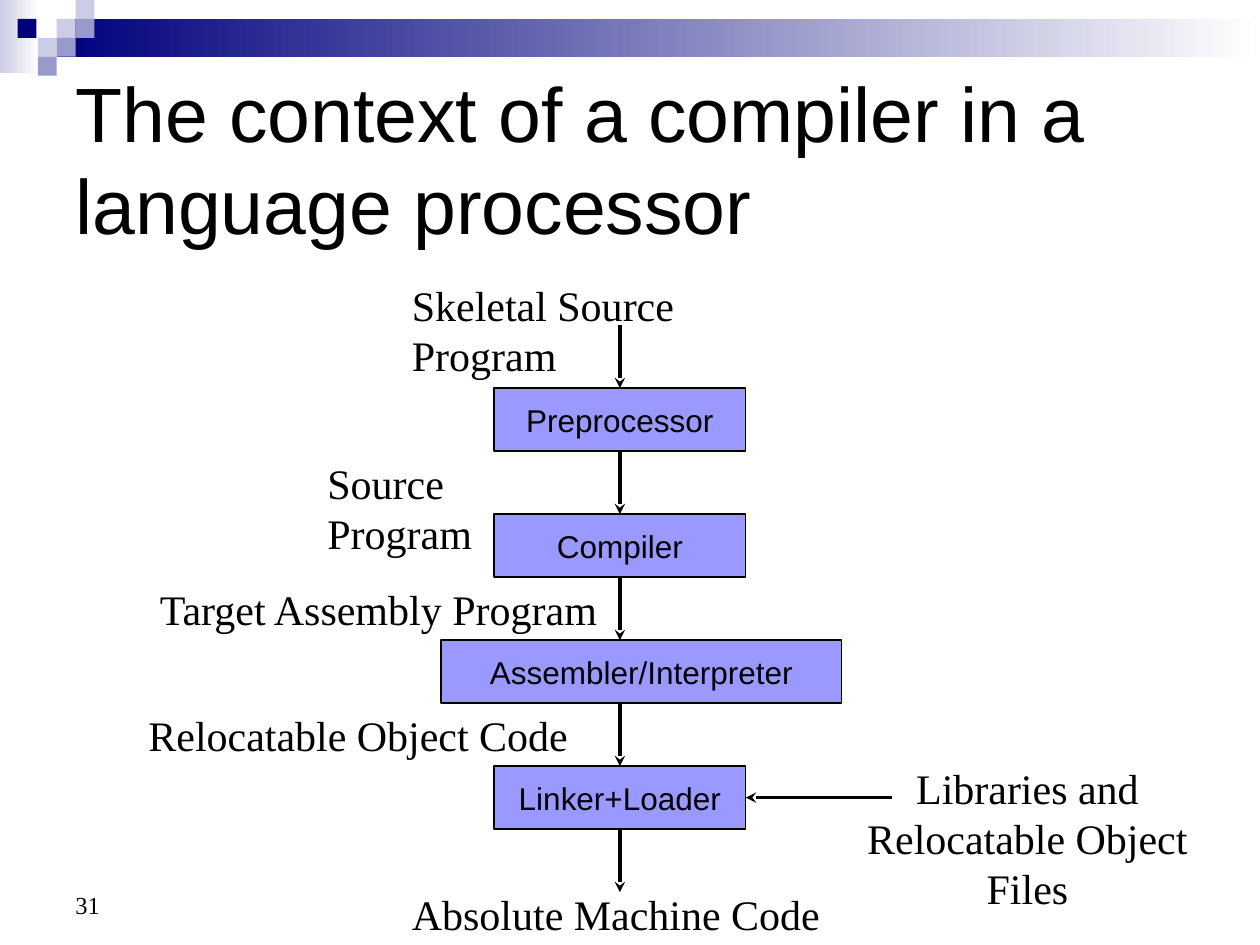
"""Build the slide on the context of a compiler in a language processor."""
from lxml import etree
from pptx import Presentation
from pptx.dml.color import RGBColor
from pptx.enum.shapes import MSO_CONNECTOR, MSO_SHAPE
from pptx.enum.text import MSO_ANCHOR, MSO_AUTO_SIZE, PP_ALIGN
from pptx.oxml.ns import qn
from pptx.util import Inches, Pt

RECTANGLE, STRAIGHT = MSO_SHAPE.RECTANGLE, MSO_CONNECTOR.STRAIGHT
TOP, MIDDLE, BOTTOM = MSO_ANCHOR.TOP, MSO_ANCHOR.MIDDLE, MSO_ANCHOR.BOTTOM
LEFT, CENTER = PP_ALIGN.LEFT, PP_ALIGN.CENTER
NO_RESIZE, GROW = MSO_AUTO_SIZE.NONE, MSO_AUTO_SIZE.SHAPE_TO_FIT_TEXT
SANS, SERIF = "Arial", "Times New Roman"
BLACK, WHITE, NAVY, PALE, MID, STAGE = (
    "000000", "FFFFFF", "00007D", "CCCCE6", "9999CC", "9999FF")

WIDTH, HEIGHT = 10, 7.5
AXIS, FIRST_TOP, STEP, STAGE_HEIGHT = 4.92, 3.08, 1, 0.5
TILE = 0.15

TITLE = "The context of a compiler in a language processor"
PAGE_NUMBER = "31"
GRADIENTS = [((0, 0, 0.31, 0.58), PALE), ((0.45, TILE, 9.55, 2 * TILE), NAVY)]
TILES = [(3, 1, PALE), (4, 0, PALE), (4, 1, MID), (2, 2, PALE),
         (0.93, 1, NAVY), (3, 2, MID), (2, 3, MID)]
STAGES = [("Preprocessor", 3.92, 2), ("Compiler", 3.92, 2),
          ("Assembler/Interpreter", 3.5, 3.18), ("Linker+Loader", 3.92, 2)]
LABELS = [
    ("Skeletal Source Program", (3.17, 2.17, 3.51, 0.5), LEFT),
    ("Source Program", (2.5, 3.58, 2.35, 0.5), LEFT),
    ("Target Assembly Program", (1.17, 4.58, 3.72, 0.5), LEFT),
    ("Relocatable Object Code", (1.08, 5.58, 3.53, 0.5), LEFT),
    ("Absolute Machine Code", (3.17, 7, 3.44, 0.5), LEFT),
    ("Libraries and\nRelocatable Object Files", (6.42, 6, 3.47, 0.9), CENTER),
]


def color(value):
    return RGBColor.from_string(value)


def write(box, text, size, font, align=LEFT, anchor=TOP, wrap=False, resize=NO_RESIZE):
    frame = box.text_frame
    frame.text = text
    frame.auto_size = resize
    frame.word_wrap = wrap
    frame.vertical_anchor = anchor
    for para in frame.paragraphs:
        para.alignment = align
        for span in para.runs:
            span.font.size = Pt(size)
            span.font.name = font
            span.font.color.rgb = color(BLACK)


def add_text(page, area, *args, **options):
    write(page.shapes.add_textbox(*map(Inches, area)), *args, **options)


def add_rectangle(page, area, fill, fade=None, outline=None):
    box = page.shapes.add_shape(RECTANGLE, *map(Inches, area))
    box.shadow.inherit = False
    if fade:
        box.fill.gradient()
        box.fill.gradient_angle = 0
        for stop, shade in zip(box.fill.gradient_stops, (fill, fade)):
            stop.color.rgb = color(shade)
    else:
        box.fill.solid()
        box.fill.fore_color.rgb = color(fill)
    if outline:
        box.line.color.rgb = color(outline)
        box.line.width = Pt(0.75)
    else:
        box.line.fill.background()
    return box


def add_arrow(page, start, end):
    arrow = page.shapes.add_connector(STRAIGHT, *map(Inches, start + end))
    arrow.line.color.rgb = color(BLACK)
    arrow.line.width = Pt(2)
    etree.SubElement(arrow.line._get_or_add_ln(), qn("a:tailEnd"), type="stealth")
    etree.SubElement(arrow._element.spPr, qn("a:effectLst"))
    return arrow


def is_on_axis(box):
    return abs(box.left + box.width / 2 - Inches(AXIS)) < Inches(0.01)


def main():
    deck = Presentation()
    deck.slide_width, deck.slide_height = Inches(WIDTH), Inches(HEIGHT)
    page = deck.slides.add_slide(deck.slide_layouts[6])

    for area, shade in GRADIENTS:
        add_rectangle(page, area, shade, fade=WHITE)
    for column, row, shade in TILES:
        add_rectangle(page, (column * TILE, row * TILE, TILE, TILE), shade)
    add_text(page, (0.5, 0.5, 9, 1.5), TITLE, 44, SANS, anchor=MIDDLE, wrap=True)

    stages = []
    for index, (name, left, width) in enumerate(STAGES):
        area = (left, FIRST_TOP + index * STEP, width, STAGE_HEIGHT)
        box = add_rectangle(page, area, STAGE, outline=BLACK)
        write(box, name, 18, SANS, CENTER, MIDDLE)
        stages.append(box)
    for text, area, align in LABELS:
        add_text(page, area, text, 24, SERIF, align, resize=GROW)

    for index, (above, below) in enumerate(zip([None] + stages, stages + [None])):
        end = FIRST_TOP + index * STEP
        arrow = add_arrow(page, (AXIS, end - STEP + STAGE_HEIGHT), (AXIS, end))
        if above and is_on_axis(above):
            arrow.begin_connect(above, 2)
        if below and is_on_axis(below):
            arrow.end_connect(below, 0)
    add_arrow(page, (7.08, 6.33), (5.92, 6.33)).end_connect(stages[-1], 3)

    add_text(page, (0.5, 6.83, 2.33, 0.52), PAGE_NUMBER, 14, SERIF, anchor=BOTTOM, wrap=True)
    deck.save("out.pptx")


if __name__ == "__main__":
    main()
